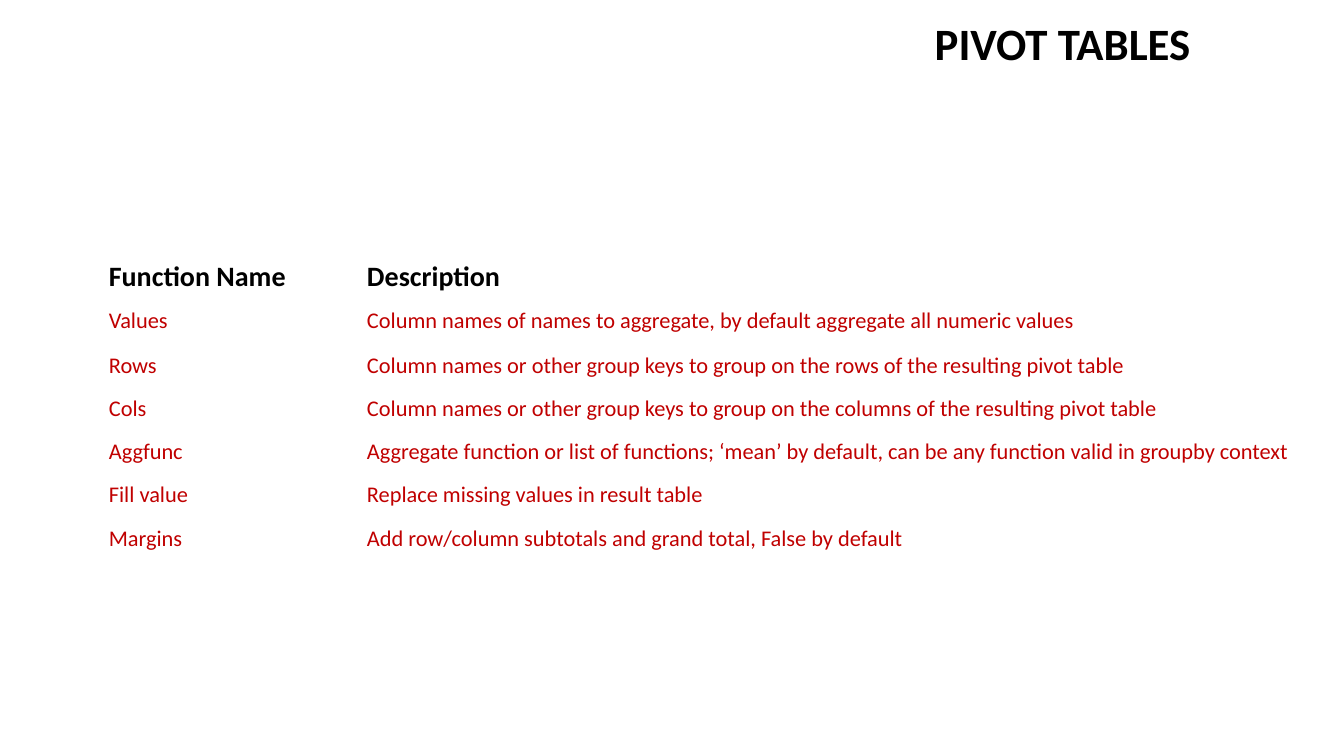
from typing import NamedTuple

from pptx import Presentation
from pptx.dml.color import RGBColor
from pptx.enum.text import MSO_ANCHOR, PP_ALIGN
from pptx.slide import Slide
from pptx.text.text import TextFrame
from pptx.util import Inches, Pt

BLACK = RGBColor(0x00, 0x00, 0x00)
DARK_RED = RGBColor(0xC0, 0x00, 0x00)
FONT_NAME = "Calibri"


class TextStyle(NamedTuple):
    size: int
    color: RGBColor
    bold: bool


class Argument(NamedTuple):
    name: str
    description: str


TITLE_STYLE = TextStyle(32, BLACK, True)
HEADER_STYLE = TextStyle(20, BLACK, True)
BODY_STYLE = TextStyle(16, DARK_RED, False)

HEADER = Argument("Function Name", "Description")
ARGUMENTS = [
    Argument("Values", "Column names of names to aggregate, by default aggregate all numeric values"),
    Argument("Rows", "Column names or other group keys to group on the rows of the resulting pivot table"),
    Argument("Cols", "Column names or other group keys to group on the columns of the resulting pivot table"),
    Argument("Aggfunc", "Aggregate function or list of functions; ‘mean’ by default, "
                        "can be any function valid in groupby context"),
    Argument("Fill value", "Replace missing values in result table"),
    Argument("Margins", "Add row/column subtotals and grand total, False by default"),
]
COLUMN_WIDTHS = [2.56, 9.46]
ROW_HEIGHTS = [0.47, 0.44, 0.43, 0.43, 0.42, 0.44, 0.44]


def write_text(text_frame: TextFrame, text: str, style: TextStyle) -> None:
    text_frame.text = text
    paragraph = text_frame.paragraphs[0]
    paragraph.alignment = PP_ALIGN.LEFT
    font = paragraph.runs[0].font
    font.name = FONT_NAME
    font.size = Pt(style.size)
    font.bold = style.bold
    font.color.rgb = style.color


def add_title(slide: Slide, text: str) -> None:
    title = slide.shapes.title
    title.left, title.top = Inches(9.17), Inches(0.1)
    title.width, title.height = Inches(3.07), Inches(0.64)
    title.text_frame.vertical_anchor = MSO_ANCHOR.MIDDLE
    write_text(title.text_frame, text, TITLE_STYLE)
    title.text_frame.paragraphs[0].line_spacing = 1.0


def add_argument_table(slide: Slide) -> None:
    rows = [HEADER, *ARGUMENTS]
    table = slide.shapes.add_table(
        len(rows), len(COLUMN_WIDTHS), Inches(0.98), Inches(2.53),
        Inches(sum(COLUMN_WIDTHS)), Inches(sum(ROW_HEIGHTS))).table
    table.first_row = False
    table.horz_banding = False
    for column, width in zip(table.columns, COLUMN_WIDTHS):
        column.width = Inches(width)
    for row, height, argument in zip(table.rows, ROW_HEIGHTS, rows):
        row.height = Inches(height)
        style = HEADER_STYLE if argument is HEADER else BODY_STYLE
        for cell, text in zip(row.cells, argument):
            cell.fill.background()
            write_text(cell.text_frame, text, style)


def main() -> None:
    presentation = Presentation()
    presentation.slide_width = Inches(13.33)
    presentation.slide_height = Inches(7.5)
    slide = presentation.slides.add_slide(presentation.slide_layouts.get_by_name("Title Only"))
    add_title(slide, "PIVOT TABLES")
    add_argument_table(slide)
    presentation.save("out.pptx")


if __name__ == "__main__":
    main()
